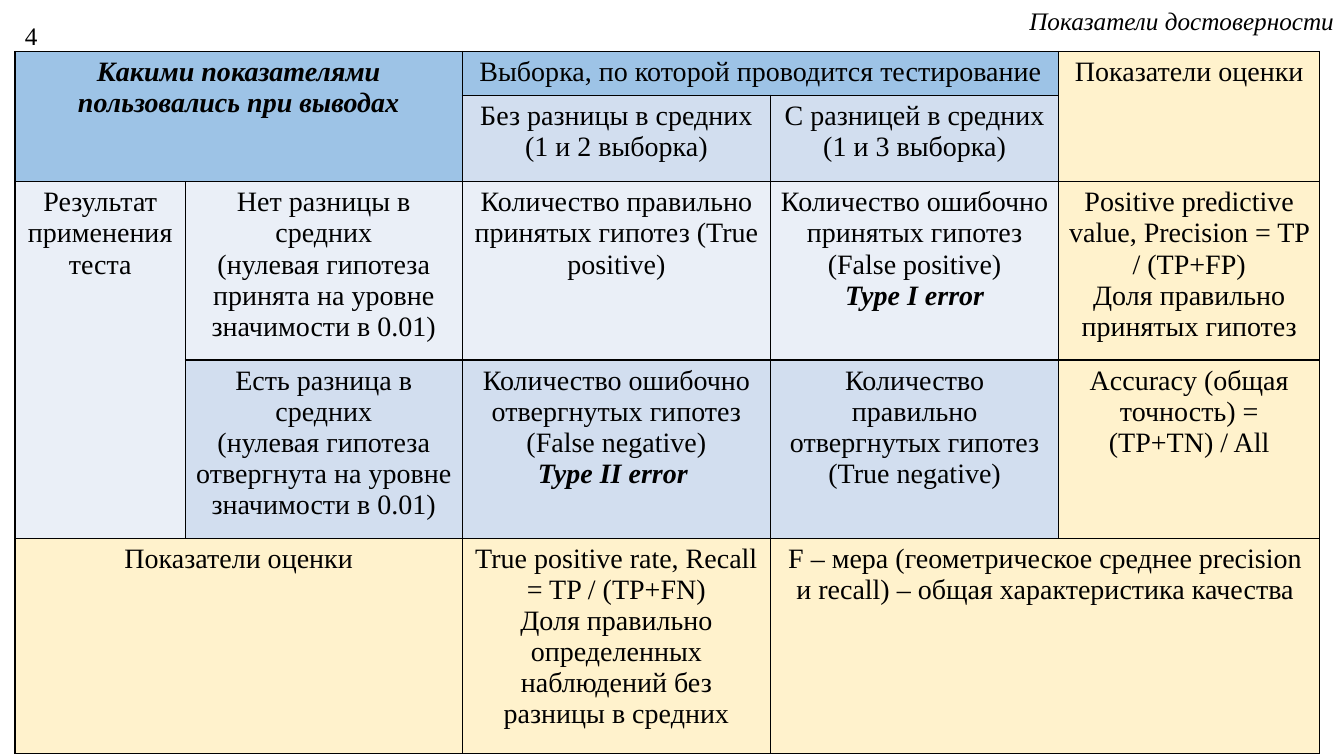
from itertools import product
from lxml.etree import SubElement
from pptx import Presentation
from pptx.dml.color import RGBColor
from pptx.enum.text import MSO_AUTO_SIZE, PP_ALIGN as Align
from pptx.oxml.ns import qn
from pptx.util import Cm, Pt

BLACK = RGBColor(0x00, 0x00, 0x00)
BLUE = RGBColor(0x9D, 0xC3, 0xE6)
LIGHT_BLUE = RGBColor(0xD2, 0xDE, 0xEF)
PALE_BLUE = RGBColor(0xEA, 0xEF, 0xF7)
CREAM = RGBColor(0xFF, 0xF2, 0xCC)


def write(frame, text, size=20, align=Align.CENTER, spacing=None, italic=False, strong=""):
    frame.word_wrap = True
    for index, line in enumerate(text.split("\n")):
        paragraph = frame.add_paragraph() if index else frame.paragraphs[0]
        paragraph.alignment = align
        paragraph.line_spacing = spacing
        run = paragraph.add_run()
        run.text = line
        emphasised = line == strong
        run.font.name = "Times New Roman"
        run.font.size = Pt(size)
        run.font.color.rgb = BLACK
        run.font.bold = emphasised
        run.font.italic = italic or emphasised


def add_borders(cell):
    properties = cell._tc.get_or_add_tcPr()
    for side in ("lnL", "lnR", "lnT", "lnB"):
        line = SubElement(properties, qn(f"a:{side}"), w=str(Pt(1)))
        color = SubElement(SubElement(line, qn("a:solidFill")), qn("a:srgbClr"))
        color.set("val", str(BLACK))


presentation = Presentation()
presentation.slide_width = Cm(33.87)
presentation.slide_height = Cm(19.05)
slide = presentation.slides.add_slide(presentation.slide_layouts[6])

heading = slide.shapes.add_textbox(0, 0, Cm(33.87), Cm(1.02)).text_frame
write(heading, "Показатели достоверности", size=18, align=Align.RIGHT, italic=True)
number = slide.shapes.add_textbox(Cm(0.38), 0, Cm(2), Cm(1.3)).text_frame
write(number, "4", size=18, align=Align.LEFT, spacing=1.5)
for frame in (heading, number):
    frame.auto_size = MSO_AUTO_SIZE.SHAPE_TO_FIT_TEXT

widths = [4.29, 6.98, 7.77, 7.26, 6.58]
heights = [1.09, 2.18, 4.45, 4.45, 5.43]
outcomes = slide.shapes.add_table(
    len(heights), len(widths), Cm(0.38), Cm(1.3), Cm(sum(widths)), Cm(sum(heights))
).table
outcomes.first_row = False
outcomes.horz_banding = False
for column, width in zip(outcomes.columns, widths):
    column.width = Cm(width)
for row, height in zip(outcomes.rows, heights):
    row.height = Cm(height)
for row, column in product(range(len(heights)), range(len(widths))):
    add_borders(outcomes.cell(row, column))

QUESTION = "Какими показателями пользовались при выводах"
TYPE_1 = "Type I error"
TYPE_2 = "Type II error "
entries = [
    (0, 0, 2, 2, BLUE, QUESTION, QUESTION),
    (0, 2, 1, 2, BLUE, "Выборка, по которой проводится тестирование", ""),
    (0, 4, 2, 1, CREAM, "Показатели оценки", ""),
    (1, 2, 1, 1, LIGHT_BLUE, "Без разницы в средних (1 и 2 выборка)", ""),
    (1, 3, 1, 1, LIGHT_BLUE, "С разницей в средних (1 и 3 выборка)", ""),
    (2, 0, 2, 1, PALE_BLUE, "Результат применения теста", ""),
    (2, 1, 1, 1, PALE_BLUE,
     "Нет разницы в средних\n(нулевая гипотеза принята на уровне значимости в 0.01)", ""),
    (2, 2, 1, 1, PALE_BLUE, "Количество правильно принятых гипотез (True positive)", ""),
    (2, 3, 1, 1, PALE_BLUE,
     f"Количество ошибочно принятых гипотез\n(False positive)\n{TYPE_1}", TYPE_1),
    (2, 4, 1, 1, CREAM,
     "Positive predictive value, Precision = TP / (TP+FP)\nДоля правильно принятых гипотез", ""),
    (3, 1, 1, 1, LIGHT_BLUE,
     "Есть разница в средних\n(нулевая гипотеза отвергнута на уровне значимости в 0.01)", ""),
    (3, 2, 1, 1, LIGHT_BLUE,
     f"Количество ошибочно отвергнутых гипотез\n(False negative)\n{TYPE_2}", TYPE_2),
    (3, 3, 1, 1, LIGHT_BLUE,
     "Количество правильно отвергнутых гипотез\n(True negative)", ""),
    (3, 4, 1, 1, CREAM, "Accuracy (общая точность) = (TP+TN) / All", ""),
    (4, 0, 1, 2, CREAM, "Показатели оценки", ""),
    (4, 2, 1, 1, CREAM,
     "True positive rate, Recall = TP / (TP+FN)\n"
     "Доля правильно определенных наблюдений без разницы в средних", ""),
    (4, 3, 1, 2, CREAM,
     "F – мера (геометрическое среднее precision и recall) – общая характеристика качества", ""),
]
for row, column, row_span, column_span, fill, text, strong in entries:
    cell = outcomes.cell(row, column)
    if row_span * column_span > 1:
        cell.merge(outcomes.cell(row + row_span - 1, column + column_span - 1))
    cell.fill.solid()
    cell.fill.fore_color.rgb = fill
    write(cell.text_frame, text, strong=strong)

presentation.save("out.pptx")
